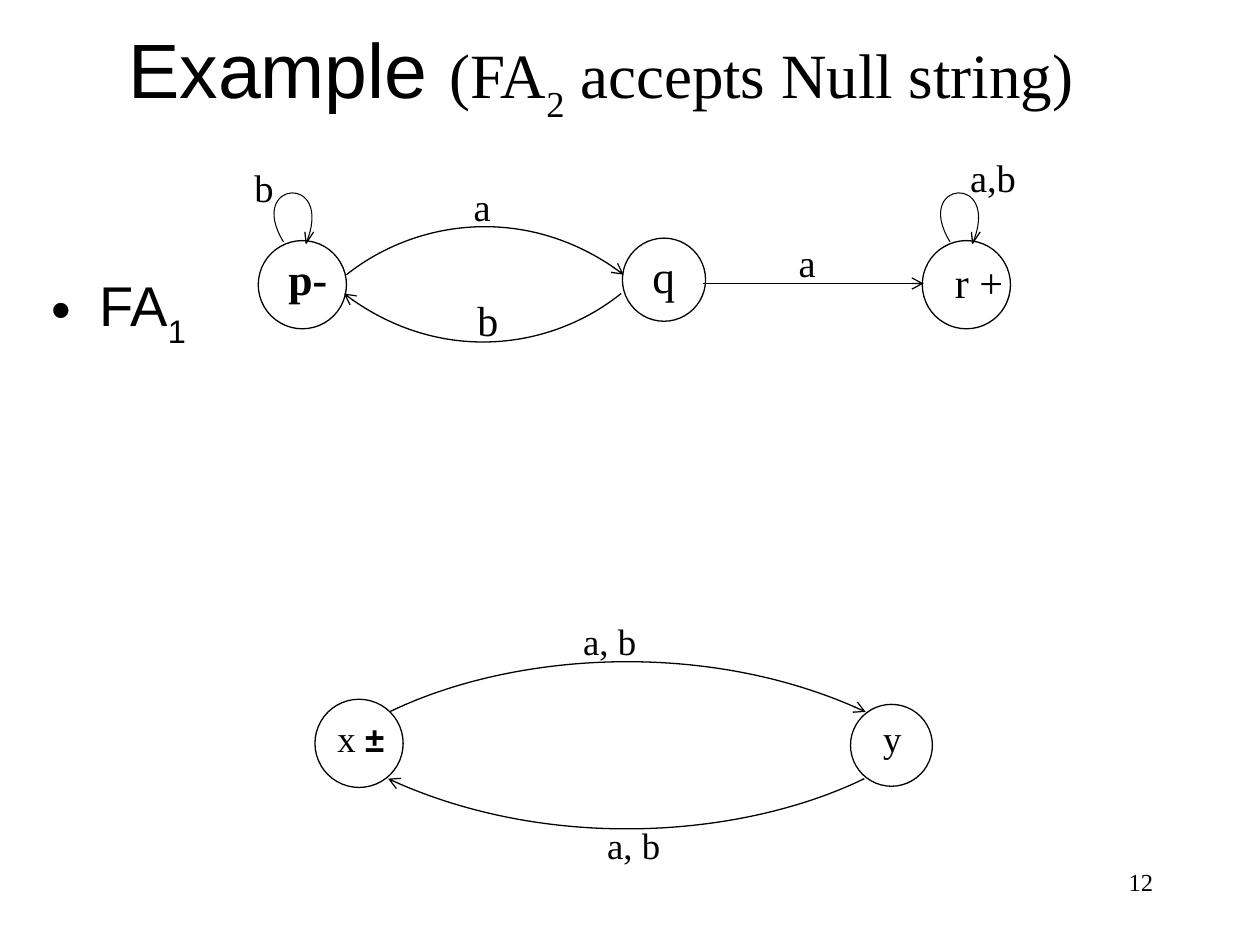
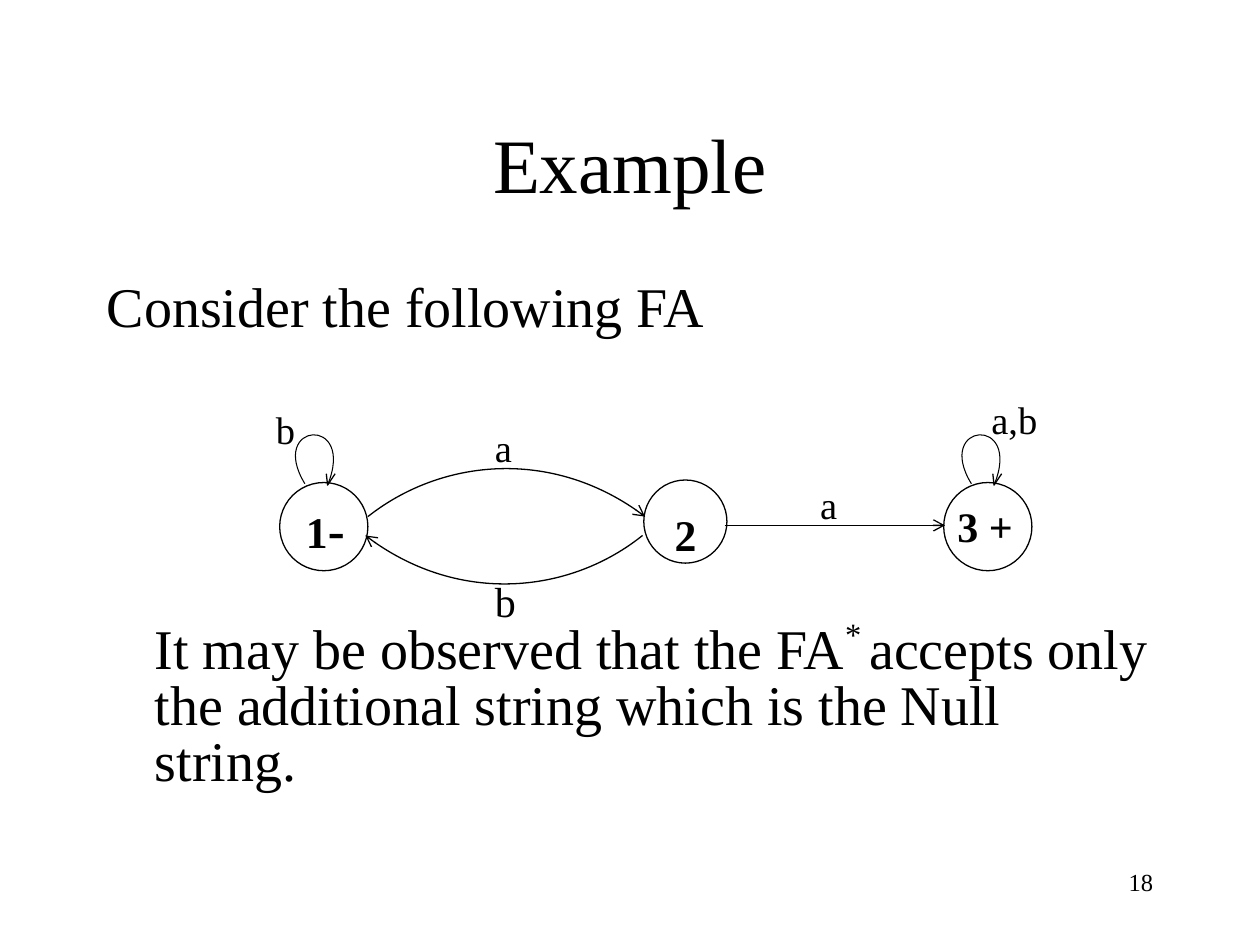
from lxml import etree
from pptx import Presentation
from pptx.dml.color import RGBColor
from pptx.enum.shapes import MSO_CONNECTOR, MSO_SHAPE
from pptx.enum.text import MSO_ANCHOR, MSO_AUTO_SIZE, PP_ALIGN
from pptx.oxml.ns import qn
from pptx.util import Inches, Pt

STRAIGHT, ELLIPSE = MSO_CONNECTOR.STRAIGHT, MSO_SHAPE.OVAL
TOP, MIDDLE = MSO_ANCHOR.TOP, MSO_ANCHOR.MIDDLE
LEFT, CENTER, RIGHT = PP_ALIGN.LEFT, PP_ALIGN.CENTER, PP_ALIGN.RIGHT
NO_AUTOFIT = MSO_AUTO_SIZE.NONE
BLACK, WHITE = "000000", "FFFFFF"
SERIF, SANS = "Times New Roman", "Arial"
TITLE_ONLY = 5
HANGING = 0.38
NUMBER_BOX = (7.17, 6.83, 2.08, 0.5)

# A run is (text, size, options); options are font, bold and baseline in percent.
# A label is (box, runs, alignment).
THREE_STATES = {
    "circles": [(2.05, 1.91, 0.7), (4.94, 1.89, 0.66), (7.32, 1.91, 0.7)],
    "arcs": [
        [(2.75, 2.18), (3.32, 1.73), (4.23, 1.63), (4.95, 2.18)],
        [(4.93, 2.33), (4.37, 2.78), (3.46, 2.89), (2.73, 2.33)],
    ],
    "loops": [(2.25, 1.92), (7.54, 1.92)],
    "arrows": [((5.58, 2.25), (7.33, 2.25))],
    "labels": [
        ((1.92, 1.25, 0.98, 0.67), [("b", 22, {})], LEFT),
        ((3.66, 1.4, 0.41, 0.4), [("a", 22, {})], LEFT),
        ((6.24, 1.85, 0.41, 0.4), [("a", 22, {})], LEFT),
        ((7.6, 1.17, 0.98, 0.67), [("a,b", 22, {})], LEFT),
    ],
}
TWO_STATES = {
    "circles": [(2.5, 5.55, 0.7), (6.75, 5.59, 0.65)],
    "arcs": [
        [(3.09, 5.65), (4.06, 5.18), (5.63, 5.07), (6.87, 5.65)],
        [(6.86, 6.18), (5.89, 6.65), (4.33, 6.76), (3.08, 6.18)],
    ],
    "loops": [],
    "arrows": [],
    "labels": [
        ((4.53, 4.86, 0.98, 0.68), [("a, b", 21, {})], LEFT),
        ((4.72, 6.48, 0.98, 0.68), [("a, b", 21, {})], LEFT),
        ((2.58, 5.63, 0.75, 0.5),
         [("x ", 21, {}), ("±", 20, {"font": SANS, "bold": True})], LEFT),
        ((6.91, 5.63, 0.75, 0.5), [("y", 21, {})], LEFT),
    ],
}
SLIDES = [
    {
        "number": "12",
        "title": [("Example ", 44, {"font": SANS}), ("(FA", 36, {}),
                  ("2", 36, {"baseline": -30}), (" accepts Null string)", 36, {})],
        "title_box": (0.52, 0.17, 8.5, 1.25),
        "title_anchor": TOP,
        "body_box": (0.31, 2.1, 8.94, 4.52),
        "body": [
            {"runs": [("FA", 32, {"font": SANS}),
                      ("1", 32, {"font": SANS, "baseline": -30})], "bullet": "•"},
        ],
        "diagrams": [(THREE_STATES, (0, 0)), (TWO_STATES, (0, 0))],
        "labels": [
            ((2.19, 1.95, 0.83, 0.44), [("p-", 25, {"bold": True})], LEFT),
            ((5.08, 1.92, 0.41, 0.4), [("q", 26, {})], LEFT),
            ((7.48, 1.99, 0.68, 0.34), [("r +", 24, {})], LEFT),
            ((3.69, 2.29, 0.41, 0.4), [("b", 24, {})], LEFT),
        ],
    },
    {
        "number": "18",
        "title": [("Example", 44, {})],
        "title_box": (0.75, 0.67, 8.5, 1.25),
        "title_anchor": MIDDLE,
        "body_box": (0.75, 2.19, 8.5, 4.48),
        "body": [
            {"runs": [("Consider the following FA", 32, {})], "spacing": 0.84},
            {"runs": [("It may be observed that the FA", 32, {}),
                      ("* ", 32, {"baseline": 40}),
                      ("accepts only the additional string which is the Null string.",
                       32, {})],
             "spacing": 0.84, "before": 163, "indented": True},
        ],
        "diagrams": [(THREE_STATES, (0.17, 1.92))],
        "labels": [
            ((2.33, 3.9, 0.92, 0.52),
             [("1", 25, {"bold": True}), ("-", 29, {"bold": True})], LEFT),
            ((4.98, 3.98, 0.92, 0.46), [("2", 25, {"bold": True})], CENTER),
            ((7.5, 3.92, 0.93, 0.41), [("3 +", 24, {"bold": True})], LEFT),
            ((3.83, 4.52, 0.41, 0.4), [("b", 24, {})], LEFT),
        ],
    },
]


def color(hex_string):
    return RGBColor.from_string(hex_string)


def add_runs(paragraph, runs):
    for text, size, options in runs:
        run = paragraph.add_run()
        run.text = text
        run.font.size = Pt(size)
        run.font.name = options.get("font", SERIF)
        run.font.bold = options.get("bold", False)
        run.font.color.rgb = color(BLACK)
        if "baseline" in options:
            run._r.get_or_add_rPr().set("baseline", str(options["baseline"] * 1000))


def add_text(slide, box, runs, alignment=LEFT):
    shape = slide.shapes.add_textbox(*map(Inches, box))
    shape.text_frame.word_wrap = True
    paragraph = shape.text_frame.paragraphs[0]
    paragraph.alignment = alignment
    add_runs(paragraph, runs)


def set_title(slide, content):
    title = slide.shapes.title
    title.left, title.top, title.width, title.height = map(Inches, content["title_box"])
    frame = title.text_frame
    frame.auto_size = NO_AUTOFIT
    frame.vertical_anchor = content["title_anchor"]
    if content["title_anchor"] == TOP:
        frame.margin_top = 0
    frame.paragraphs[0].alignment = CENTER
    add_runs(frame.paragraphs[0], content["title"])


def add_body(slide, box, items):
    frame = slide.shapes.add_textbox(*map(Inches, box)).text_frame
    frame.word_wrap = True
    for index, item in enumerate(items):
        paragraph = frame.add_paragraph() if index else frame.paragraphs[0]
        if "spacing" in item:
            paragraph.line_spacing = item["spacing"]
        if "before" in item:
            paragraph.space_before = Pt(item["before"])
        properties = paragraph._p.get_or_add_pPr()
        if "bullet" in item or "indented" in item:
            properties.set("marL", str(Inches(HANGING)))
        if "bullet" in item:
            properties.set("indent", str(-Inches(HANGING)))
            etree.SubElement(properties, qn("a:buFont"), typeface=SANS)
            etree.SubElement(properties, qn("a:buChar"), char=item["bullet"])
        add_runs(paragraph, item["runs"])


def style_line(shape, width=0.75, arrow=False):
    shape.line.color.rgb = color(BLACK)
    shape.line.width = Pt(width)
    if arrow:
        etree.SubElement(shape.line._get_or_add_ln(), qn("a:tailEnd"), type="arrow")


def add_outline(slide, points, width=0.75, arrow=False, curved=False):
    """Draw an open line; a curved one takes four points of a cubic curve."""
    start, *others = [(Inches(x), Inches(y)) for x, y in points]
    builder = slide.shapes.build_freeform(*start)
    builder.add_line_segments(others, close=False)
    shape = builder.convert_to_shape()
    shape.shadow.inherit = False
    shape.fill.background()
    style_line(shape, width, arrow)
    if curved:
        segments = list(shape.element.iter(qn("a:lnTo")))
        outline = segments[0].getparent()
        curve = etree.SubElement(outline, qn("a:cubicBezTo"))
        for segment in segments:
            curve.append(segment[0])
            outline.remove(segment)


def add_loop(slide, x, y):
    """Draw a self-transition that leaves its state at (x, y)."""
    curve = [(x, y), (x - 0.3, y - 0.49), (x + 0.41, y - 0.55), (x + 0.18, y + 0.01)]
    head = [(x + 0.17, y - 0.08), (x + 0.18, y + 0.01), (x + 0.24, y - 0.08)]
    add_outline(slide, curve, width=0.6, curved=True)
    add_outline(slide, head)


def add_arrow(slide, start, end):
    arrow = slide.shapes.add_connector(STRAIGHT, *map(Inches, (*start, *end)))
    style_line(arrow, arrow=True)
    etree.SubElement(arrow.element.spPr, qn("a:effectLst"))


def add_diagram(slide, diagram, offset):
    def moved(point):
        return point[0] + offset[0], point[1] + offset[1]

    for left, top, diameter in diagram["circles"]:
        box = (*moved((left, top)), diameter, diameter)
        circle = slide.shapes.add_shape(ELLIPSE, *map(Inches, box))
        circle.shadow.inherit = False
        circle.fill.solid()
        circle.fill.fore_color.rgb = color(WHITE)
        style_line(circle)
    for points in diagram["arcs"]:
        add_outline(slide, [moved(point) for point in points], arrow=True, curved=True)
    for point in diagram["loops"]:
        add_loop(slide, *moved(point))
    for start, end in diagram["arrows"]:
        add_arrow(slide, moved(start), moved(end))
    for box, runs, alignment in diagram["labels"]:
        add_text(slide, (*moved(box[:2]), *box[2:]), runs, alignment)


def main():
    presentation = Presentation()
    presentation.slide_width, presentation.slide_height = Inches(10), Inches(7.5)
    for content in SLIDES:
        slide = presentation.slides.add_slide(presentation.slide_layouts[TITLE_ONLY])
        set_title(slide, content)
        add_body(slide, content["body_box"], content["body"])
        for diagram, offset in content["diagrams"]:
            add_diagram(slide, diagram, offset)
        for box, runs, alignment in content["labels"]:
            add_text(slide, box, runs, alignment)
        add_text(slide, NUMBER_BOX, [(content["number"], 14, {})], RIGHT)
    presentation.save("out.pptx")


if __name__ == "__main__":
    main()
